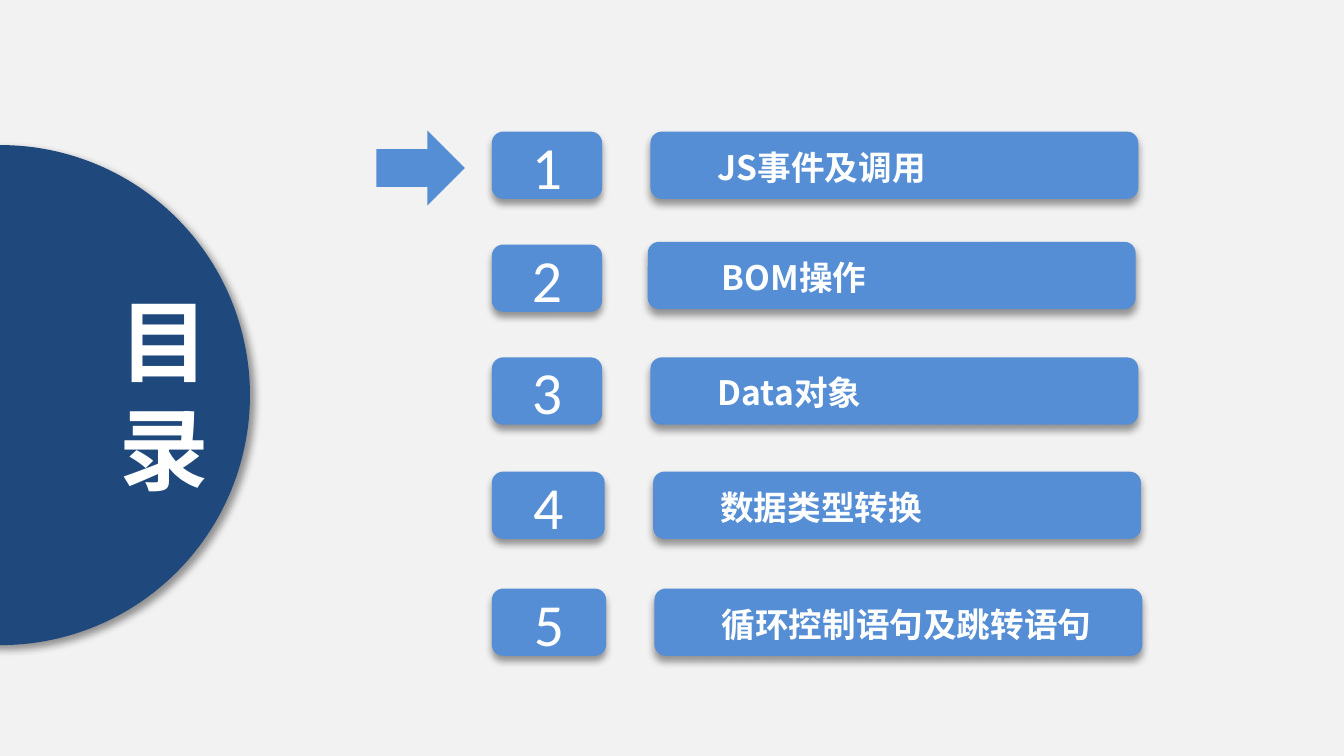
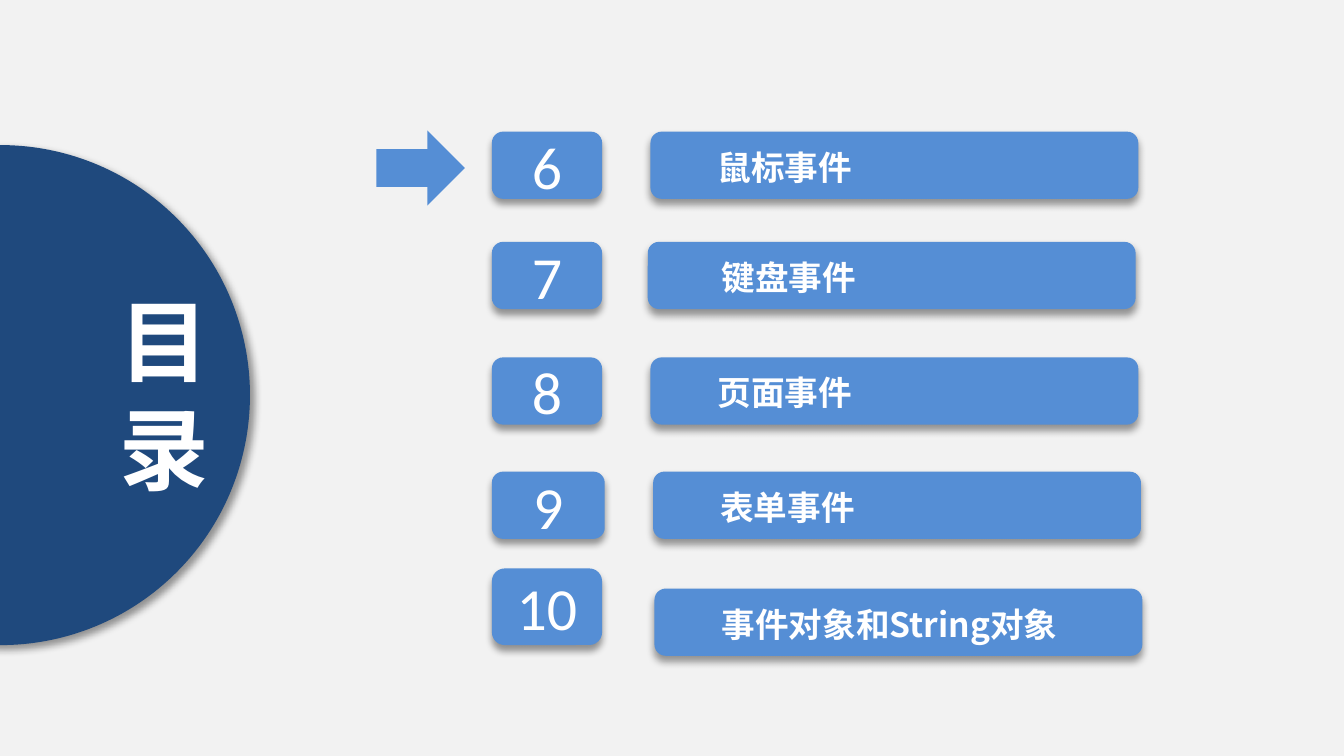
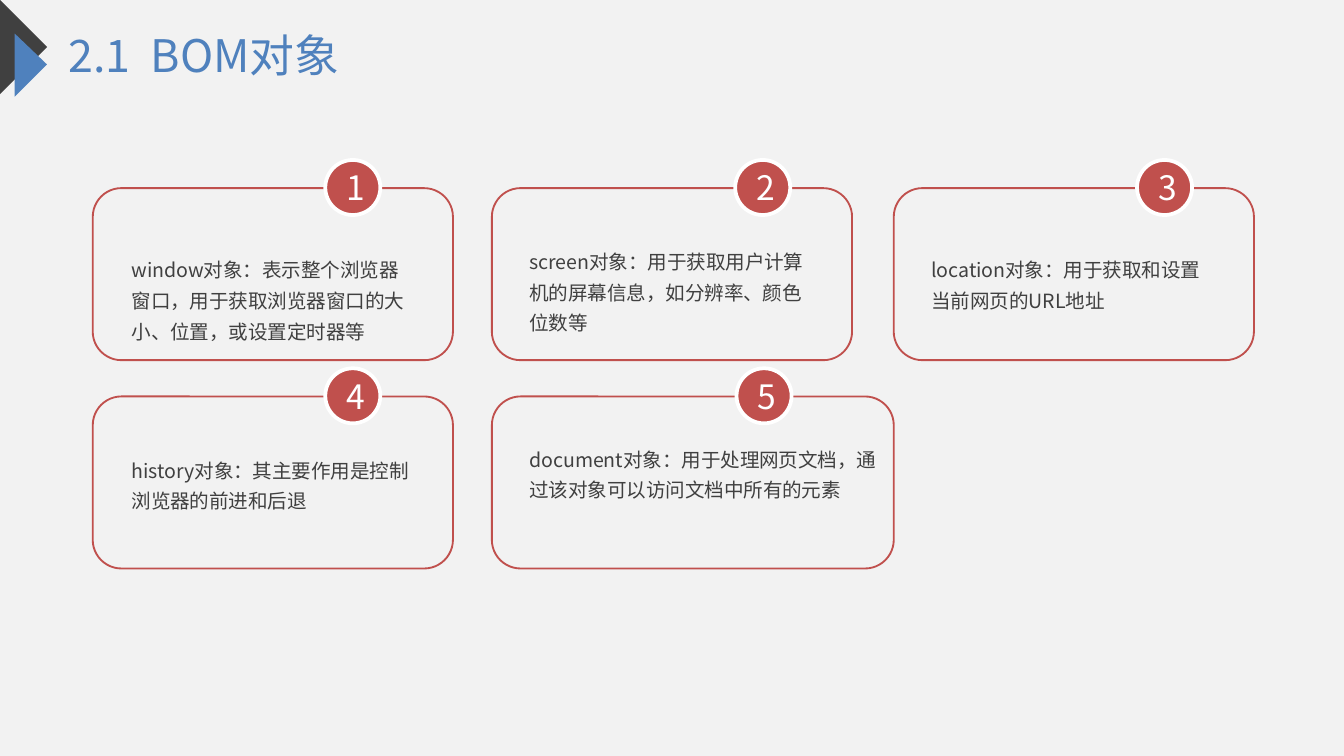
from dataclasses import dataclass

from lxml import etree
from pptx import Presentation
from pptx.dml.color import RGBColor
from pptx.enum.shapes import MSO_SHAPE as SHAPE
from pptx.enum.text import MSO_ANCHOR as ANCHOR, MSO_AUTO_SIZE as AUTO, PP_ALIGN as ALIGN
from pptx.oxml.ns import qn
from pptx.util import Inches, Pt

BACKGROUND, WHITE, DARK = "F2F2F2", "FFFFFF", "404040"
NAVY, SKY, BLUE, RED = "1F497D", "558ED5", "4F81BD", "C0504D"
CJK, LATIN = "Noto Sans CJK SC", "Calibri"
WIDE_INSETS, TILE_INSETS = (0.13, 0.07), (0.12, 0.06)


@dataclass(frozen=True)
class Box:
    left: float
    top: float
    width: float
    height: float

    def emu(self) -> list:
        return [Inches(v) for v in (self.left, self.top, self.width, self.height)]


@dataclass(frozen=True)
class Style:
    size: float
    color: str
    font: str = CJK
    bold: bool = False
    align: ALIGN = ALIGN.LEFT
    spacing: float = 1.0


@dataclass(frozen=True)
class AgendaRow:
    top: float
    banner_left: float
    label_left: float
    label_width: float


@dataclass(frozen=True)
class Card:
    box: Box
    badge_left: float
    text_box: Box
    text: str


CONTENTS = Style(48, WHITE, bold=True, align=ALIGN.CENTER)
NUMBER = Style(32, WHITE, LATIN, align=ALIGN.CENTER)
LABEL = Style(18, WHITE, bold=True)
TITLE = Style(24, BLUE)
BADGE = Style(18, WHITE, align=ALIGN.CENTER)
BODY = Style(10.5, DARK, spacing=1.3)

AGENDA_ROWS = [
    AgendaRow(0.98, 4.84, 5.21, 2.57),
    AgendaRow(1.80, 4.82, 5.24, 2.57),
    AgendaRow(2.66, 4.84, 5.21, 2.65),
    AgendaRow(3.51, 4.86, 5.23, 2.65),
    AgendaRow(4.38, 4.87, 5.24, 3.20),
]
TILES = [Box(3.66, row.top, width, 0.5)
         for row, width in zip(AGENDA_ROWS, (0.82, 0.82, 0.82, 0.84, 0.85))]
FIRST_TILES = [TILES[0], Box(3.66, 1.82, 0.82, 0.5), *TILES[2:]]
SECOND_TILES = [*TILES[:4], Box(3.66, 4.23, 0.82, 0.57)]
FIRST_TOPICS = ["JS事件及调用", "BOM操作", "Data对象", "数据类型转换", "循环控制语句及跳转语句"]
SECOND_TOPICS = ["鼠标事件", "键盘事件", "页面事件", "表单事件", "事件对象和String对象"]

CARDS = [
    Card(Box(0.69, 1.4, 2.68, 1.28), 2.42, Box(0.98, 1.87, 2.13, 0.69),
         "window对象：表示整个浏览器窗口，用于获取浏览器窗口的大小、位置，或设置定时器等"),
    Card(Box(3.66, 1.4, 2.68, 1.28), 5.47, Box(3.94, 1.81, 2.13, 0.69),
         "screen对象：用于获取用户计算机的屏幕信息，如分辨率、颜色位数等"),
    Card(Box(6.65, 1.4, 2.68, 1.28), 8.46, Box(6.93, 1.87, 2.13, 0.46),
         "location对象：用于获取和设置当前网页的URL地址"),
    Card(Box(0.69, 2.95, 2.68, 1.28), 2.42, Box(0.98, 3.36, 2.13, 0.46),
         "history对象：其主要作用是控制浏览器的前进和后退"),
    Card(Box(3.66, 2.95, 2.99, 1.28), 5.48, Box(3.94, 3.28, 2.71, 0.46),
         "document对象：用于处理网页文档，通过该对象可以访问文档中所有的元素"),
]


def rgb(color: str) -> RGBColor:
    return RGBColor.from_string(color)


def paint(sp, fill: str | None, line: str | None = None, line_width: float = 1) -> None:
    sp.shadow.inherit = False
    if fill:
        sp.fill.solid()
        sp.fill.fore_color.rgb = rgb(fill)
    else:
        sp.fill.background()
    if line:
        sp.line.color.rgb = rgb(line)
        sp.line.width = Pt(line_width)
    else:
        sp.line.fill.background()


def add_shadow(sp, angle: int) -> None:
    """Cast a soft black shadow towards angle, in degrees clockwise from the right."""
    effects = sp._element.spPr.find(qn("a:effectLst"))
    outer = etree.SubElement(effects, qn("a:outerShdw"), blurRad=str(Pt(4)),
                             dist=str(Pt(3)), dir=str(angle * 60000), rotWithShape="0")
    color = etree.SubElement(outer, qn("a:srgbClr"), val="000000")
    etree.SubElement(color, qn("a:alpha"), val="40000")


def style_paragraph(p, style: Style) -> None:
    p.alignment = style.align
    p.line_spacing = style.spacing
    p.font.size = Pt(style.size)
    p.font.bold = style.bold
    p.font.color.rgb = rgb(style.color)
    p.font.name = style.font
    defaults = p._p.get_or_add_pPr().find(qn("a:defRPr"))
    etree.SubElement(defaults, qn("a:ea"), typeface=style.font)


def write(sp, lines: list[str], style: Style, insets: tuple[float, float] = (0, 0),
          anchor: ANCHOR = ANCHOR.TOP, grow: bool = True, wrap: bool = True):
    tf = sp.text_frame
    tf.word_wrap = wrap
    tf.auto_size = AUTO.SHAPE_TO_FIT_TEXT if grow else AUTO.NONE
    tf.vertical_anchor = anchor
    tf.margin_left = tf.margin_right = Inches(insets[0])
    tf.margin_top = tf.margin_bottom = Inches(insets[1])
    tf.text = "\n".join(lines)
    for p in tf.paragraphs:
        style_paragraph(p, style)
    return tf


def add_preset(shapes, kind: SHAPE, box: Box, fill: str | None, line: str | None = None,
               line_width: float = 1, shadow_angle: int | None = None):
    sp = shapes.add_shape(kind, *box.emu())
    paint(sp, fill, line, line_width)
    if shadow_angle is not None:
        add_shadow(sp, shadow_angle)
    return sp


def add_triangle(shapes, points: list[tuple[float, float]], color: str) -> None:
    start, *rest = [(Inches(x), Inches(y)) for x, y in points]
    builder = shapes.build_freeform(*start)
    builder.add_line_segments(rest, close=True)
    paint(builder.convert_to_shape(), color)


def add_contents_disc(shapes) -> None:
    group = shapes.add_group_shape().shapes
    add_preset(group, SHAPE.OVAL, Box(-1.85, 1.08, 3.71, 3.72), NAVY, shadow_angle=45)
    heading = group.add_textbox(*Box(-0.08, 2.06, 2.6, 1.75).emu())
    write(heading, ["目", "录"], CONTENTS, WIDE_INSETS)


def add_banner(shapes, row: AgendaRow, topic: str) -> None:
    group = shapes.add_group_shape().shapes
    add_preset(group, SHAPE.ROUNDED_RECTANGLE, Box(row.banner_left, row.top, 3.63, 0.5),
               SKY, shadow_angle=90)
    label = add_preset(group, SHAPE.RECTANGLE,
                       Box(row.label_left, row.top + 0.04, row.label_width, 0.44), SKY)
    write(label, [topic], LABEL, WIDE_INSETS)


def add_agenda(slide, first_number: int, tiles: list[Box], topics: list[str]) -> None:
    shapes = slide.shapes
    add_contents_disc(shapes)
    for number, (row, tile_box, topic) in enumerate(zip(AGENDA_ROWS, tiles, topics), first_number):
        tile = add_preset(shapes, SHAPE.ROUNDED_RECTANGLE, tile_box, SKY, shadow_angle=90)
        write(tile, [str(number)], NUMBER, TILE_INSETS, ANCHOR.MIDDLE, grow=False)
        add_banner(shapes, row, topic)
    arrow = add_preset(shapes, SHAPE.DOWN_ARROW, Box(2.85, 0.92, 0.56, 0.66), SKY)
    arrow.rotation = 270


def add_title(shapes, number: str, text: str) -> None:
    add_triangle(shapes, [(0, 0), (0.35, 0.35), (0, 0.7)], DARK)
    add_triangle(shapes, [(0.11, 0.25), (0.35, 0.48), (0.11, 0.72)], BLUE)
    title = shapes.add_textbox(*Box(0.51, 0.21, 2.16, 0.4).emu())
    p = write(title, [number], TITLE, wrap=False).paragraphs[0]
    gap = p.add_run()
    gap.text = " "
    gap._r.get_or_add_rPr().set("spc", "540")
    p.add_run().text = text


def add_card(shapes, number: int, card: Card) -> None:
    add_preset(shapes, SHAPE.ROUNDED_RECTANGLE, card.box, None, RED)
    badge = add_preset(shapes, SHAPE.OVAL, Box(card.badge_left, card.box.top - 0.21, 0.41, 0.41),
                       RED, WHITE, 2)
    write(badge, [str(number)], BADGE, (0.1, 0.05), ANCHOR.MIDDLE, grow=False)
    write(shapes.add_textbox(*card.text_box.emu()), [card.text], BODY)


def main() -> None:
    prs = Presentation()
    prs.slide_width = Inches(10)
    prs.slide_height = prs.slide_width * 9 // 16
    fill = prs.slide_master.background.fill
    fill.solid()
    fill.fore_color.rgb = rgb(BACKGROUND)
    first, second, objects = [prs.slides.add_slide(prs.slide_layouts[6]) for _ in range(3)]

    add_agenda(first, 1, FIRST_TILES, FIRST_TOPICS)
    add_agenda(second, 6, SECOND_TILES, SECOND_TOPICS)

    add_title(objects.shapes, "2.1", "BOM对象")
    for number, card in enumerate(CARDS, 1):
        add_card(objects.shapes, number, card)

    prs.save("out.pptx")


if __name__ == "__main__":
    main()
